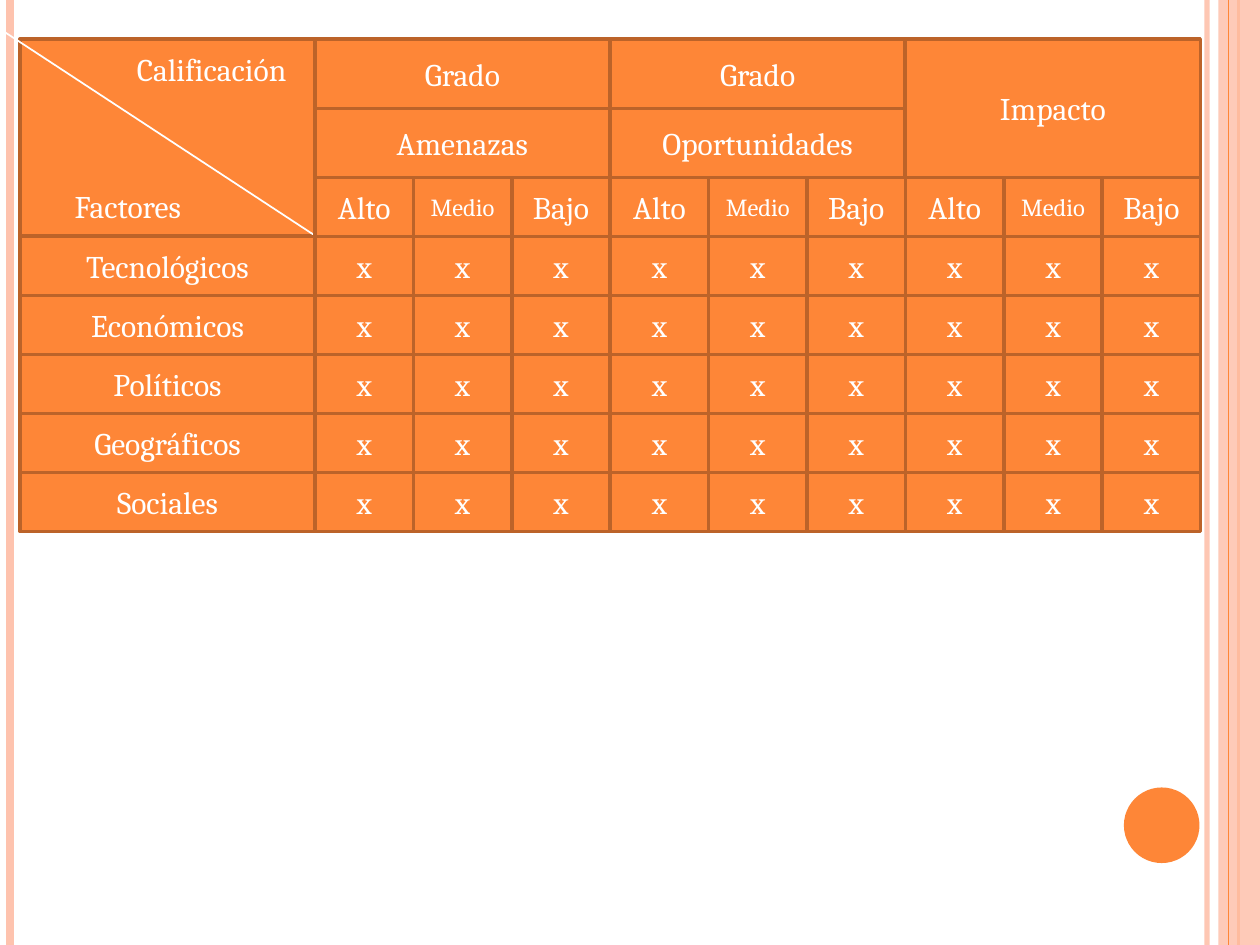
from lxml import etree
from pptx import Presentation
from pptx.dml.color import RGBColor
from pptx.enum.shapes import MSO_CONNECTOR, MSO_SHAPE
from pptx.enum.text import MSO_ANCHOR, PP_ALIGN
from pptx.oxml.ns import qn
from pptx.util import Inches, Pt

STRAIGHT = MSO_CONNECTOR.STRAIGHT
RECTANGLE = MSO_SHAPE.RECTANGLE
OVAL = MSO_SHAPE.OVAL
MIDDLE = MSO_ANCHOR.MIDDLE
CENTER = PP_ALIGN.CENTER

ORANGE = RGBColor(0xFE, 0x86, 0x37)
PEACH = RGBColor(0xFE, 0xC3, 0xAE)
BROWN = RGBColor(0xBC, 0x63, 0x29)
WHITE = RGBColor(0xFF, 0xFF, 0xFF)

presentation = Presentation()
presentation.slide_width = Inches(10)
presentation.slide_height = Inches(7.5)
slide = presentation.slides.add_slide(presentation.slide_layouts[6])


def add_line(x1, y1, x2, y2, color, width):
    line = slide.shapes.add_connector(
        STRAIGHT, Inches(x1), Inches(y1), Inches(x2), Inches(y2))
    line.line.color.rgb = color
    line.line.width = Pt(width)
    etree.SubElement(line._element.spPr, qn("a:effectLst"))
    return line


def add_box(left, top, width, height, text="", size=18, border=BROWN,
            fill=ORANGE, kind=RECTANGLE):
    shape = slide.shapes.add_shape(
        kind, Inches(left), Inches(top), Inches(width), Inches(height))
    shape.shadow.inherit = False
    shape.fill.solid()
    shape.fill.fore_color.rgb = fill
    if border is None:
        shape.line.fill.background()
    else:
        shape.line.color.rgb = border
        shape.line.width = Pt(2)
    if text:
        shape.text_frame.vertical_anchor = MIDDLE
        paragraph = shape.text_frame.paragraphs[0]
        paragraph.alignment = CENTER
        run = paragraph.add_run()
        run.text = text
        run.font.name = "Cambria"
        run.font.size = Pt(size)
        run.font.color.rgb = WHITE
    return shape


edge_line = add_line(9.58, 0, 9.58, 7.5, PEACH, 3)
add_line(0.08, 0, 0.08, 7.5, PEACH, 4.5)
add_line(9.83, 0, 9.83, 7.5, ORANGE, 1.5)
side_band = add_box(9.67, 0, 0.33, 7.5, border=None, fill=PEACH)
add_line(9.75, 0, 9.75, 7.5, ORANGE, 0.75)
add_box(8.92, 6.25, 0.6, 0.6, border=None, kind=OVAL)

for decoration, opacity in ((edge_line, 93), (side_band, 87)):
    color = next(decoration._element.spPr.iter(qn("a:srgbClr")))
    etree.SubElement(color, qn("a:alpha"), val=str(opacity * 1000))

FACTOR_LEFT = 0.16
GRID_LEFT = 2.5
GROUP_WIDTH = 2.34
LEVEL_WIDTH = 7.03 / 9
HEADER_TOP = 0.31
HEADER_HEIGHT = 0.55
LEVEL_TOP = 1.41
ROW_HEIGHT = 2.81 / 6

add_box(FACTOR_LEFT, HEADER_TOP, GROUP_WIDTH, 1.56)
add_line(0, 0.23, 2.5, 1.87, WHITE, 1)
add_box(0.86, 0.39, 1.64, 0.31, "Calificación", border=None)
add_box(0.31, 1.48, 1.41, 0.31, "Factores", border=None)

groups = [["Grado", "Amenazas"], ["Grado", "Oportunidades"], ["Impacto"]]
levels = [("Alto", 18), ("Medio", 14), ("Bajo", 18)]
for group_index, headings in enumerate(groups):
    group_left = GRID_LEFT + group_index * 3 * LEVEL_WIDTH
    height = 2 * HEADER_HEIGHT / len(headings)
    for heading_index, heading in enumerate(headings):
        add_box(group_left, HEADER_TOP + heading_index * height,
                GROUP_WIDTH, height, heading)
    for level_index, (level, size) in enumerate(levels):
        add_box(group_left + level_index * LEVEL_WIDTH, LEVEL_TOP,
                LEVEL_WIDTH, ROW_HEIGHT, level, size)

factors = ["Tecnológicos", "Económicos", "Políticos", "Geográficos", "Sociales"]
for row, factor in enumerate(factors, start=1):
    top = LEVEL_TOP + row * ROW_HEIGHT
    add_box(FACTOR_LEFT, top, GROUP_WIDTH, ROW_HEIGHT, factor)
    for column in range(len(groups) * len(levels)):
        add_box(GRID_LEFT + column * LEVEL_WIDTH, top,
                LEVEL_WIDTH, ROW_HEIGHT, "x")

presentation.save("out.pptx")
